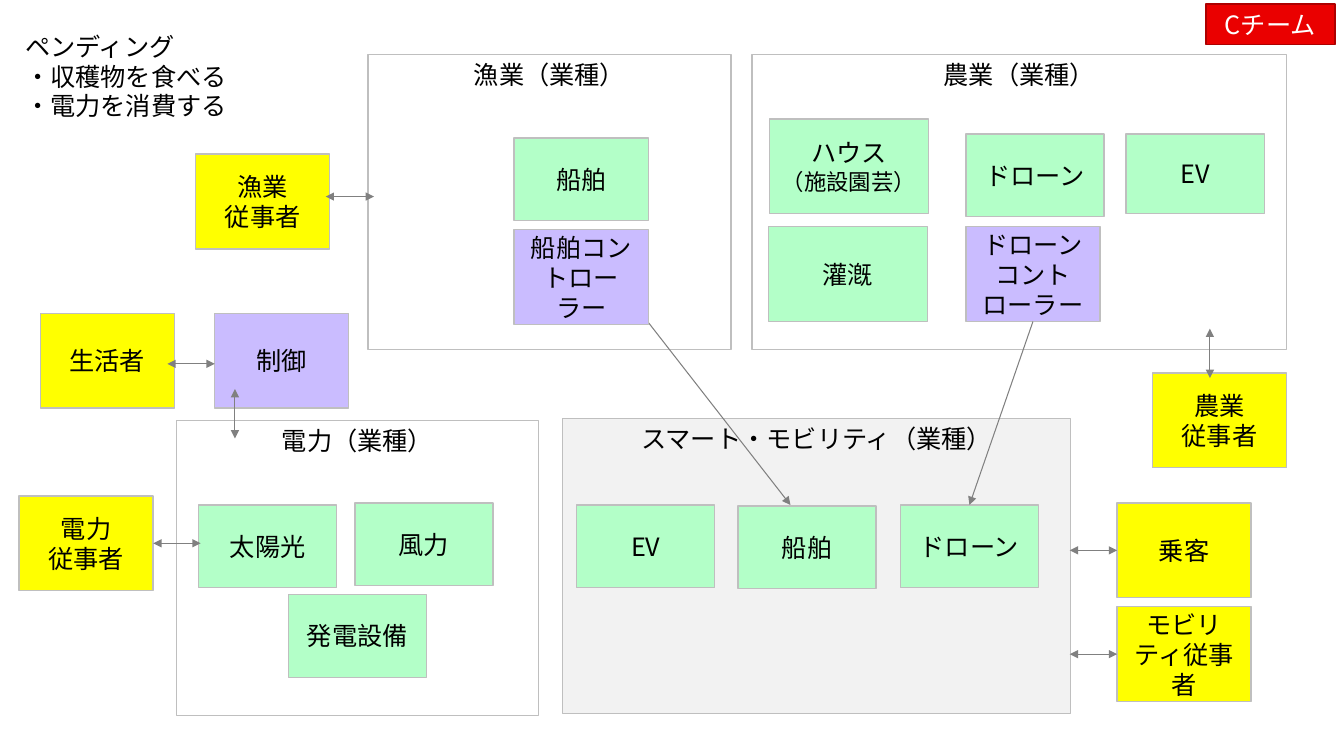
from dataclasses import dataclass
from typing import NamedTuple

from lxml.etree import SubElement
from pptx import Presentation
from pptx.dml.color import RGBColor
from pptx.enum.shapes import MSO_CONNECTOR, MSO_SHAPE
from pptx.enum.text import MSO_ANCHOR, MSO_AUTO_SIZE, PP_ALIGN
from pptx.oxml.ns import qn
from pptx.shapes.autoshape import Shape
from pptx.shapes.connector import Connector
from pptx.slide import Slide
from pptx.text.text import TextFrame
from pptx.util import Emu, Pt

EMU_PER_PX = 9144
TOP, LEFT, BOTTOM, RIGHT = range(4)


@dataclass(frozen=True)
class Theme:
    font: str = "Noto Sans CJK JP"
    body: int = 18
    small: int = 16
    leading: float = 1.19
    outline: float = 1
    arrow: float = 0.75
    black: str = "000000"
    white: str = "FFFFFF"
    border: str = "BFBFBF"
    link: str = "808080"
    green: str = "B3FFC8"
    violet: str = "CABCFF"
    yellow: str = "FFFF00"
    pale: str = "F2F2F2"
    red: str = "EA0000"
    dark_red: str = "AD0000"


THEME = Theme()


@dataclass(frozen=True)
class Box:
    text: str
    left: int
    top: int
    width: int
    height: int
    fill: str | None = None
    border: str = THEME.border
    ink: str = THEME.black
    anchor: MSO_ANCHOR = MSO_ANCHOR.MIDDLE
    last_size: int = THEME.body


class Point(NamedTuple):
    x: int
    y: int


class Joint(NamedTuple):
    box: Box
    side: int


class Link(NamedTuple):
    begin: Point | Joint
    end: Point | Joint
    two_way: bool = True


def px(length: int) -> Emu:
    return Emu(length * EMU_PER_PX)


def industry(text: str, left: int, top: int, width: int, fill: str | None = None) -> Box:
    return Box(text, left, top, width, 293, fill, anchor=MSO_ANCHOR.TOP)


def person(text: str, left: int, top: int) -> Box:
    return Box(text, left, top, 133, 94, THEME.yellow)


def controller(text: str, left: int, top: int) -> Box:
    return Box(text, left, top, 133, 94, THEME.violet)


def asset(text: str, left: int, top: int, width: int = 137, height: int = 82,
          last_size: int = THEME.body) -> Box:
    return Box(text, left, top, width, height, THEME.green, last_size=last_size)


DRONE = asset("ドローン", 893, 501)
DRONE_CONTROLLER = controller("ドローン\nコントローラー", 958, 225)
PASSENGER = person("乗客", 1108, 499)
POWER_WORKER = person("電力\n従事者", 19, 492)
MOBILITY_WORKER = person("モビリティ従事者", 1108, 602)

ITEMS: list[Box | Link] = [
    controller("制御", 213, 311),
    industry("スマート・モビリティ（業種）", 558, 415, 504, THEME.pale),
    Box("Cチーム", 1196, 4, 128, 40, THEME.red, THEME.dark_red, THEME.white),
    industry("農業（業種）", 746, 54, 530),
    industry("漁業（業種）", 365, 54, 360),
    industry("電力（業種）", 175, 417, 359),
    asset("ハウス\n（施設園芸）", 763, 118, 158, 94, THEME.small),
    asset("EV", 572, 501),
    DRONE,
    asset("船舶", 732, 502),
    asset("灌漑", 762, 225, 158, 94),
    DRONE_CONTROLLER,
    asset("船舶", 510, 137, 133),
    asset("ドローン", 958, 133),
    Link(Joint(DRONE_CONTROLLER, BOTTOM), Joint(DRONE, TOP), False),
    Link(Point(640, 316), Point(784, 501), False),
    controller("船舶コントローラー", 510, 228),
    asset("EV", 1117, 133, height=79),
    asset("太陽光", 197, 501),
    asset("風力", 352, 499),
    asset("発電設備", 286, 590),
    person("農業\n従事者", 1143, 370),
    person("漁業\n従事者", 194, 153),
    PASSENGER,
    person("生活者", 40, 311),
    POWER_WORKER,
    MOBILITY_WORKER,
    Link(Point(1200, 326), Point(1200, 375)),
    Link(Point(323, 195), Point(371, 195)),
    Link(Point(1061, 546), Joint(PASSENGER, LEFT)),
    Link(Point(233, 386), Point(233, 435)),
    Link(Point(166, 361), Point(213, 361)),
    Link(Joint(POWER_WORKER, RIGHT), Point(199, 539)),
    Link(Point(1061, 649), Joint(MOBILITY_WORKER, LEFT)),
]


def write_text(frame: TextFrame, text: str, ink: str, align: PP_ALIGN,
               last_size: int = THEME.body) -> None:
    frame.word_wrap = True
    lines = text.split("\n")
    for index, line in enumerate(lines):
        para = frame.add_paragraph() if index else frame.paragraphs[0]
        size = last_size if index == len(lines) - 1 else THEME.body
        para.alignment = align
        para.line_spacing = Pt(round(size * THEME.leading, 1))
        span = para.add_run()
        span.text = line
        for name, value in {"size": Pt(size), "name": THEME.font}.items():
            setattr(span.font, name, value)
        span.font.color.rgb = RGBColor.from_string(ink)
        SubElement(span._r.get_or_add_rPr(), qn("a:ea"), typeface=THEME.font)


def set_line(shape: Shape | Connector, color: str, width: float) -> None:
    shape.line.color.rgb = RGBColor.from_string(color)
    shape.line.width = Pt(width)


def draw_box(page: Slide, box: Box) -> Shape:
    shape = page.shapes.add_shape(
        MSO_SHAPE.RECTANGLE, *map(px, (box.left, box.top, box.width, box.height)))
    shape.shadow.inherit = False
    if box.fill:
        shape.fill.solid()
        shape.fill.fore_color.rgb = RGBColor.from_string(box.fill)
    else:
        shape.fill.background()
    set_line(shape, box.border, THEME.outline)
    shape.text_frame.vertical_anchor = box.anchor
    write_text(shape.text_frame, box.text, box.ink, PP_ALIGN.CENTER, box.last_size)
    return shape


def draw_link(page: Slide, link: Link, drawn: dict[Box, Shape]) -> None:
    corners = [end if isinstance(end, Point) else Point(0, 0)
               for end in (link.begin, link.end)]
    connector = page.shapes.add_connector(
        MSO_CONNECTOR.STRAIGHT, *(px(value) for corner in corners for value in corner))
    for end, join in ((link.begin, connector.begin_connect),
                      (link.end, connector.end_connect)):
        if isinstance(end, Joint):
            join(drawn[end.box], end.side)
    set_line(connector, THEME.link, THEME.arrow)
    for tag in ("a:headEnd", "a:tailEnd") if link.two_way else ("a:tailEnd",):
        SubElement(connector.line._get_or_add_ln(), qn(tag), type="triangle")
    SubElement(connector._element.spPr, qn("a:effectLst"))


def draw_pending(page: Slide) -> None:
    frame = page.shapes.add_textbox(*map(px, (15, 26, 293, 101))).text_frame
    frame.auto_size = MSO_AUTO_SIZE.SHAPE_TO_FIT_TEXT
    write_text(frame, "ペンディング\n・収穫物を食べる\n・電力を消費する",
               THEME.black, PP_ALIGN.LEFT)


def main() -> None:
    deck = Presentation()
    for name, value in {"slide_width": px(1333), "slide_height": px(750)}.items():
        setattr(deck, name, value)
    page = deck.slides.add_slide(deck.slide_layouts[6])
    drawn: dict[Box, Shape] = {}
    for item in ITEMS:
        if isinstance(item, Box):
            drawn[item] = draw_box(page, item)
        else:
            draw_link(page, item, drawn)
    draw_pending(page)
    deck.save("out.pptx")


if __name__ == "__main__":
    main()
